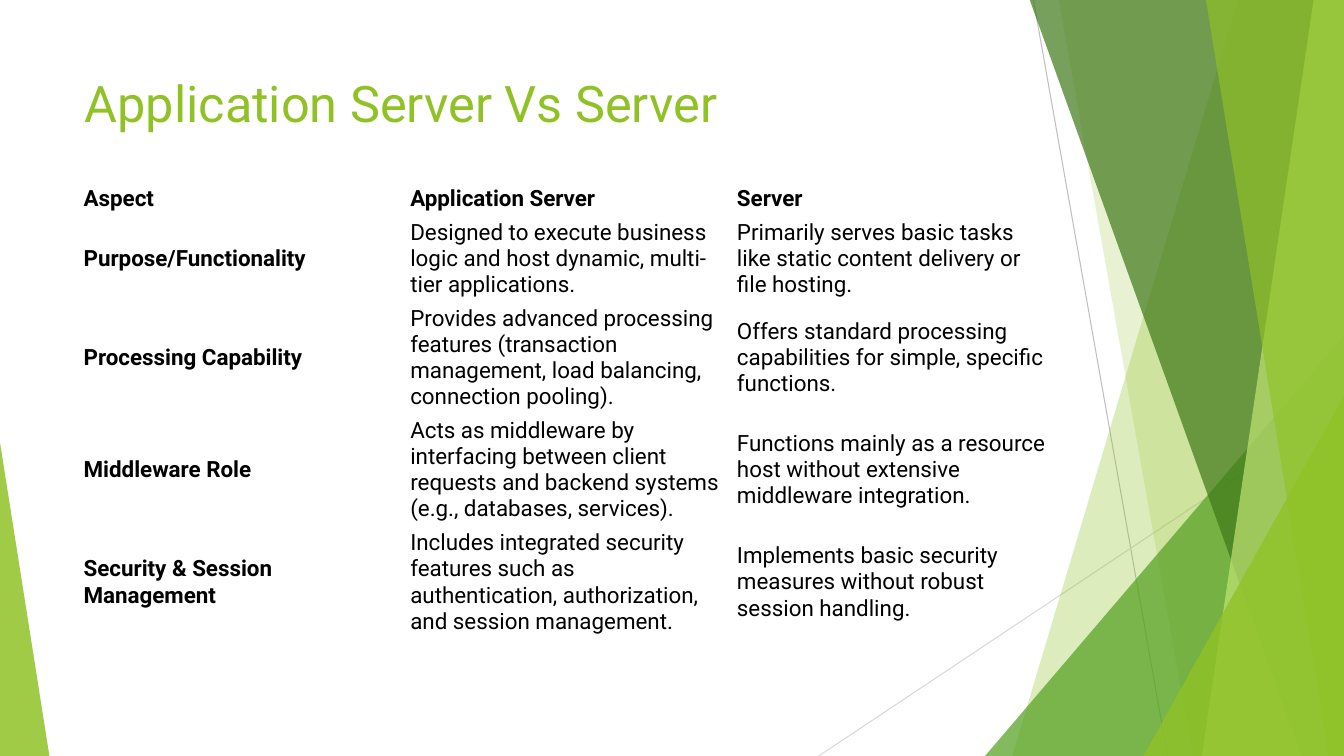
from lxml import etree
from pptx import Presentation
from pptx.dml.color import RGBColor
from pptx.enum.shapes import MSO_CONNECTOR, MSO_SHAPE
from pptx.enum.text import MSO_ANCHOR, PP_ALIGN
from pptx.oxml.ns import qn
from pptx.util import Inches, Pt

LINE = MSO_CONNECTOR.STRAIGHT
TRIANGLE = MSO_SHAPE.ISOSCELES_TRIANGLE
TOP, MIDDLE = MSO_ANCHOR.TOP, MSO_ANCHOR.MIDDLE
LEFT = PP_ALIGN.LEFT

# Content
TITLE = "Application Server Vs Server"
ROWS = [
    ("Aspect", "Application Server", "Server"),
    ("Purpose/Functionality",
     "Designed to execute business logic and host dynamic, multi-tier applications.",
     "Primarily serves basic tasks like static content delivery or file hosting."),
    ("Processing Capability",
     "Provides advanced processing features (transaction management, load balancing, "
     "connection pooling).",
     "Offers standard processing capabilities for simple, specific functions."),
    ("Middleware Role",
     "Acts as middleware by interfacing between client requests and backend systems "
     "(e.g., databases, services).",
     "Functions mainly as a resource host without extensive middleware integration."),
    ("Security & Session Management",
     "Includes integrated security features such as authentication, authorization, "
     "and session management.",
     "Implements basic security measures without robust session handling."),
]

# Look
WIDE, HIGH = 13.33, 7.5
FONT, GREEN, BLACK = "Roboto", "90C226", "000000"
NO_GRID = "{2D5ABB26-0587-4C30-8999-92F81FD0307C}"
EDGE = 0.74
COL = 3.24
HEIGHTS = [0.34, 0.85, 1.11, 1.11, 1.11]

# Thin lines: start, end, colour
LINES = [
    ((10.25, 0), (11.58, HIGH), "BFBFBF"),
    ((WIDE, 4.03), (8.12, HIGH), "D9D9D9"),
]
# Bands reach the right edge: (x at top, x at foot)
# Wedges stand on the foot: (left, width, height, apex)
DECOR = [
    ("band", (12.28, 10.04), GREEN, 30),
    ("band", (10.5, 11.83), GREEN, 20),
    ("wedge", (9.77, 3.56, 4.17, 1), "54A021", 72),
    ("band", (10.21, 12.91), "3F7819", 70),
    ("band", (13.03, 11.92), "C0E474", 70),
    ("band", (11.96, 13.18), GREEN, 65),
    ("wedge", (11.34, 1.99, 3.57, 1), GREEN, 80),
    ("wedge", (0, 0.49, 3.11, 0), GREEN, 85),
]


def color(code):
    return RGBColor.from_string(code)


def add_run(para, text, size, code, bold=False):
    para.alignment = LEFT
    run = para.add_run()
    run.text = text
    font = run.font
    font.name, font.size, font.bold = FONT, Pt(size), bold
    font.color.rgb = color(code)


def add_line(shapes, start, end, code):
    line = shapes.add_connector(LINE, *map(Inches, start + end))
    line.line.color.rgb = color(code)
    line.line.width = Pt(0.75)
    etree.SubElement(line._element.spPr, qn("a:effectLst"))


def add_band(shapes, head, foot):
    top = -0.01
    spots = [(WIDE, top), (WIDE, HIGH), (foot, HIGH)]
    form = shapes.build_freeform(Inches(head), Inches(top), scale=1.0)
    form.add_line_segments([(Inches(x), Inches(y)) for x, y in spots], close=True)
    return form.convert_to_shape()


def add_wedge(shapes, left, width, height, apex):
    box = map(Inches, (left, HIGH - height, width, height))
    shape = shapes.add_shape(TRIANGLE, *box)
    shape.adjustments[0] = apex
    return shape


def paint(shape, code, alpha):
    shape.shadow.inherit = False
    shape.line.fill.background()
    shape.fill.solid()
    shape.fill.fore_color.rgb = color(code)
    tint = shape._element.spPr.find(qn("a:solidFill"))[0]
    etree.SubElement(tint, qn("a:alpha"), val=str(alpha * 1000))


def add_title(slide):
    title = slide.shapes.title
    title.left, title.top = Inches(EDGE), Inches(0.67)
    title.width, title.height = Inches(9.4), Inches(1.44)
    frame = title.text_frame
    frame.word_wrap = True
    frame.vertical_anchor = TOP
    add_run(frame.paragraphs[0], TITLE, 36, GREEN)
    # Bring the title in front of the decor
    slide.shapes._spTree.append(title._element)


def add_grid(shapes):
    count = len(ROWS[0])
    box = map(Inches, (EDGE, 1.8, COL * count, sum(HEIGHTS)))
    table = shapes.add_table(len(ROWS), count, *box).table
    table.first_row = table.horz_banding = False
    table._tbl.tblPr.find(qn("a:tableStyleId")).text = NO_GRID
    for col in table.columns:
        col.width = Inches(COL)
    for r, texts in enumerate(ROWS):
        table.rows[r].height = Inches(HEIGHTS[r])
        for c, text in enumerate(texts):
            cell = table.cell(r, c)
            cell.fill.background()
            cell.vertical_anchor = MIDDLE
            cell.margin_left = cell.margin_right = Inches(0.09)
            cell.margin_top = cell.margin_bottom = Inches(0.04)
            add_run(cell.text_frame.paragraphs[0], text, 16, BLACK, r == 0 or c == 0)


def main():
    deck = Presentation()
    deck.slide_width, deck.slide_height = Inches(WIDE), Inches(HIGH)
    slide = deck.slides.add_slide(deck.slide_layouts[5])
    shapes = slide.shapes

    # Decor
    for line in LINES:
        add_line(shapes, *line)
    for kind, size, code, alpha in DECOR:
        draw = add_band if kind == "band" else add_wedge
        paint(draw(shapes, *size), code, alpha)

    # Title and table
    add_title(slide)
    add_grid(shapes)
    deck.save("out.pptx")


if __name__ == "__main__":
    main()
